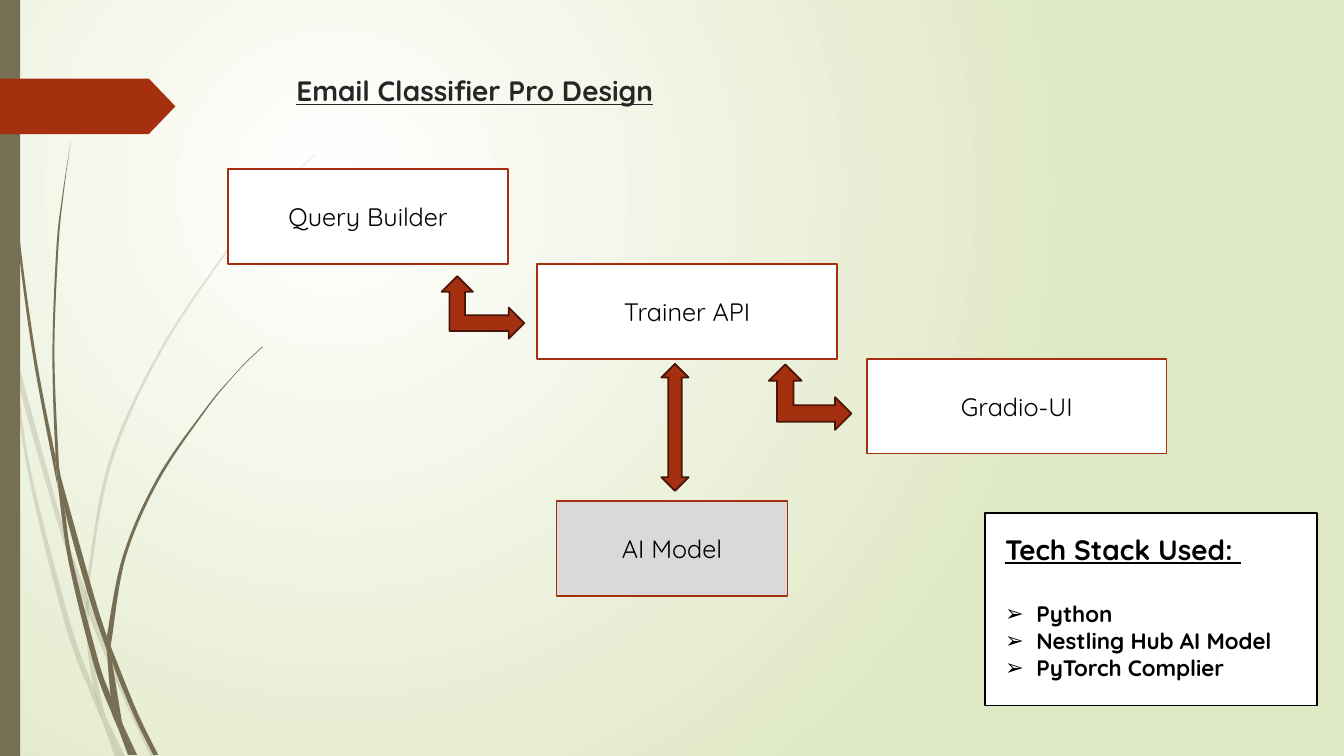
from dataclasses import dataclass
from pptx import Presentation
from pptx.dml.color import RGBColor
from pptx.enum.shapes import MSO_SHAPE
from pptx.enum.text import MSO_ANCHOR, PP_ALIGN
from pptx.oxml import parse_xml
from pptx.oxml.ns import nsdecls, qn
from pptx.oxml.xmlchemy import OxmlElement
from pptx.util import Emu, Inches, Pt

COLS, ROWS = 13.33, 7.5
CELL = Inches(1)


@dataclass(frozen=True)
class Theme:
    font: str = "Quicksand"
    head: int = 20
    label: int = 18
    item: int = 16
    edge: float = 1.25
    white: str = "FFFFFF"
    black: str = "000000"
    ink: str = "262626"
    red: str = "A53010"
    dark: str = "481507"
    grey: str = "D9D9D9"
    stem: str = "766F54"
    sage: str = "DFE8C4"


THEME = Theme()

FAINT = [
    ([(0.11, 3.5), (0.09, 3.22), (0, 2.82)], [(0, 2.99), (0.1, 3.44), (0.11, 3.5)]),
    ([(0.14, 3.45), (0.17, 3.76), (0.58, 5.22), (0.84, 5.99)],
     [(0.85, 5.86), (0.62, 5.2), (0.14, 3.45)]),
    ([(0.88, 5.96), (0.88, 6.1), (1.23, 6.94), (1.5, 7.51)],
     [(1.55, 7.51), (1.27, 6.92), (0.92, 6.07), (0.88, 5.96)]),
    ([(1.05, 7.11), (1.19, 7.51)], [(1.24, 7.51), (1.05, 7.11)]),
    ([(0.11, 3.5), (0.28, 4.7), (0.65, 6.21), (0.92, 6.93), (1.01, 7.14)],
     [(0.99, 7.07), (0.93, 6.83), (0.7, 6.19), (0.31, 4.69), (0.17, 3.76), (0.11, 3.5)]),
    ([(0.84, 5.99), (0.87, 6.46), (0.93, 6.83), (0.96, 6.92), (1.05, 7.11)],
     [(1.03, 7.06), (0.91, 6.46), (0.88, 6.1), (0.88, 6.08), (0.84, 5.99)]),
    ([(0.88, 5.96), (0.88, 5.84), (1.1, 4.62), (1.6, 3.49), (2.29, 2.45), (2.68, 1.98),
      (2.9, 1.75), (3.12, 1.54)],
     [(3.12, 1.53), (2.89, 1.75), (2.68, 1.97), (2.28, 2.44), (1.58, 3.48), (1.07, 4.61),
      (0.85, 5.84), (0.85, 5.86)]),
    ([(1.01, 7.14), (1.14, 7.51)], [(1.19, 7.51), (1.01, 7.14)]),
    ([(0.88, 6.08), (0.88, 6.1), (0.88, 5.96)], [(0.85, 5.86), (0.84, 5.99), (0.88, 6.08)]),
    ([(0.93, 6.83), (0.99, 7.07), (1.01, 7.14), (1.19, 7.51)],
     [(1.19, 7.51), (1.05, 7.11), (0.96, 6.92), (0.93, 6.83)]),
]
BOLD = [
    ([(0.03, 0), (0.04, 0.48), (0.07, 1.1), (0.17, 2.33), (0.33, 3.55), (0.56, 4.77),
      (0.57, 4.81)],
     [(0.55, 4.57), (0.55, 4.53), (0.36, 3.55), (0.19, 2.32), (0.08, 1.09), (0.05, 0.48),
      (0.04, 0)]),
    ([(0.6, 4.72), (0.64, 5.05), (0.88, 5.92), (1.06, 6.45)],
     [(1.06, 6.33), (1.06, 6.31), (0.93, 5.9), (0.6, 4.72)]),
    ([(1.1, 6.41), (1.11, 6.56), (1.32, 7.08), (1.52, 7.49)],
     [(1.57, 7.49), (1.36, 7.06), (1.13, 6.49), (1.1, 6.41)]),
    ([(0.57, 4.77), (0.68, 5.57), (0.93, 6.59), (1.11, 7.08), (1.17, 7.22)],
     [(1.16, 7.17), (1.1, 6.91), (0.98, 6.57), (0.72, 5.56), (0.64, 5.05), (0.57, 4.77)]),
    ([(0.6, 4.72), (0.58, 4.53), (0.54, 3.49), (0.58, 2.45), (0.63, 1.93), (0.7, 1.41)],
     [(0.7, 1.41), (0.62, 1.93), (0.56, 2.45), (0.52, 3.49), (0.55, 4.49), (0.6, 4.72)]),
    ([(1.22, 7.19), (1.33, 7.49)], [(1.36, 7.49), (1.22, 7.19)]),
    ([(0.55, 4.49), (0.55, 4.53), (0.57, 4.77), (0.64, 5.05)],
     [(0.64, 5.05), (0.6, 4.72), (0.55, 4.49)]),
    ([(1.1, 6.41), (1.11, 6.33), (1.25, 5.52), (1.58, 4.76), (2.05, 4.06), (2.31, 3.74),
      (2.45, 3.59), (2.61, 3.44)],
     [(2.6, 3.44), (2.45, 3.58), (2.31, 3.73), (2.04, 4.05), (1.56, 4.74), (1.22, 5.51),
      (1.06, 6.31)]),
    ([(1.17, 7.22), (1.27, 7.49)], [(1.31, 7.49), (1.17, 7.22)]),
    ([(1.06, 6.45), (1.1, 6.91), (1.16, 7.06), (1.22, 7.19)],
     [(1.21, 7.16), (1.11, 6.56), (1.09, 6.51), (1.06, 6.45)]),
    ([(1.06, 6.31), (1.06, 6.45), (1.09, 6.51), (1.11, 6.56)],
     [(1.1, 6.41), (1.06, 6.31)]),
    ([(1.1, 6.91), (1.16, 7.17), (1.17, 7.22), (1.3, 7.49)],
     [(1.33, 7.49), (1.22, 7.19), (1.16, 7.06), (1.1, 6.91)]),
]


def grid(*spans):
    return [Emu(round(span * CELL)) for span in spans]


def bend(knots):
    ends = [knots[0], *knots, knots[-1]]
    for a, b, c, d in zip(ends, ends[1:], ends[2:], ends[3:]):
        yield tuple(q + (r - p) / 6 for p, q, r in zip(a, b, c))
        yield tuple(r - (s - q) / 6 for q, r, s in zip(b, c, d))
        yield c


def paint(shape, fill, line=None, alpha=None):
    shape.shadow.inherit = False
    shape.fill.solid()
    shape.fill.fore_color.rgb = RGBColor.from_string(fill)
    if line:
        shape.line.color.rgb = RGBColor.from_string(line)
        shape.line.width = Pt(THEME.edge)
    else:
        shape.line.fill.background()
    if alpha:
        veil = OxmlElement("a:alpha")
        veil.set("val", str(alpha * 1000))
        shape._element.spPr.find(qn("a:solidFill"))[0].append(veil)


def write(frame, text, size, color=THEME.black, bold=False, under=False,
          align=PP_ALIGN.LEFT, after=0, mark=None):
    para = frame.paragraphs[0]
    if para.runs:
        para = frame.add_paragraph()
    para.alignment = align
    para.space_after = Pt(after)
    run = para.add_run()
    run.text = text
    font = run.font
    font.name, font.size, font.bold, font.underline = THEME.font, Pt(size), bold, under
    font.color.rgb = RGBColor.from_string(color)
    if mark:
        props = para._p.get_or_add_pPr()
        dent = Inches(0.31)
        props.set("marL", str(dent))
        props.set("indent", str(-dent))
        for tag, key, val in (("a:buFont", "typeface", THEME.font), ("a:buChar", "char", mark)):
            sign = OxmlElement(tag)
            sign.set(key, val)
            props.append(sign)


def block(slide, kind, spot, fill, line=None, turn=0):
    shape = slide.shapes.add_shape(kind, *grid(*spot))
    shape.rotation = turn
    paint(shape, fill, line)
    return shape


def node(slide, text, spot, fill=THEME.white):
    frame = block(slide, MSO_SHAPE.RECTANGLE, spot, fill, THEME.red).text_frame
    frame.vertical_anchor = MSO_ANCHOR.MIDDLE
    frame.word_wrap = True
    write(frame, text, THEME.label, align=PP_ALIGN.CENTER)


def note(slide, spot):
    frame = slide.shapes.add_textbox(*grid(*spot)).text_frame
    frame.word_wrap = True
    return frame


def blade(slide, go, back, alpha=None):
    dots = [*bend(go), *bend([go[-1], back[0]]), *bend(back)]
    pen = slide.shapes.build_freeform(*grid(*go[0]))
    pen.add_line_segments([grid(*dot) for dot in dots], close=True)
    shape = pen.convert_to_shape()
    lines = list(shape._element.iter(qn("a:lnTo")))
    for trio in zip(lines[::3], lines[1::3], lines[2::3]):
        curve = OxmlElement("a:cubicBezTo")
        trio[0].addprevious(curve)
        for line in trio:
            curve.append(line[0])
            line.getparent().remove(line)
    paint(shape, THEME.stem, alpha=alpha)


def glow(slide):
    fill = slide.background.fill
    fill.gradient()
    for stop, tone, place in zip(fill.gradient_stops, (THEME.white, THEME.sage), (0, 1)):
        stop.color.rgb = RGBColor.from_string(tone)
        stop.position = place
    lin = next(slide.element.iter(qn("a:lin")))
    lin.getparent().replace(lin, parse_xml(
        f'<a:path {nsdecls("a")} path="circle">'
        '<a:fillToRect l="50000" t="50000" r="100000" b="100000"/></a:path>'))


def main():
    deck = Presentation()
    deck.slide_width, deck.slide_height = grid(COLS, ROWS)
    slide = deck.slides.add_slide(deck.slide_layouts[6])
    glow(slide)
    for tuft, alpha in ((FAINT, 20), (BOLD, None)):
        for go, back in tuft:
            blade(slide, go, back, alpha)
    block(slide, MSO_SHAPE.RECTANGLE, (0, 0, 0.2, ROWS), THEME.stem)
    flag = block(slide, MSO_SHAPE.PENTAGON, (0, 0.78, 1.74, 0.55), THEME.red)
    flag.adjustments[0] = 0.48
    write(note(slide, (2.84, 0.68, 4.12, 0.52)), "Email Classifier Pro Design",
          THEME.head, color=THEME.ink, bold=True, under=True)

    top, tall = 1.68, 0.94
    parts = [("Query Builder", 2.26, 2.78), ("Trainer API", 5.33, 2.97), ("Gradio-UI", 8.6, 2.97)]
    for row, (text, left, wide) in enumerate(parts):
        node(slide, text, (left, top + row * tall, wide, tall))

    block(slide, MSO_SHAPE.RECTANGLE, (9.77, 5.09, 3.29, 1.91), THEME.white, THEME.black)
    stack = note(slide, (9.87, 5.23, 4.12, 2.08))
    write(stack, "Tech Stack Used: ", THEME.head, bold=True, under=True, after=24.5)
    for text in ("Python", "Nestling Hub AI Model", "PyTorch Complier"):
        write(stack, text, THEME.item, bold=True, mark="➢")

    for spot in ((7.71, 3.53, 0.65, 0.82), (4.48, 2.64, 0.62, 0.82)):
        block(slide, MSO_SHAPE.LEFT_UP_ARROW, spot, THEME.red, THEME.dark, 90)
    node(slide, "AI Model", (5.52, 4.97, 2.29, tall), THEME.grey)
    block(slide, MSO_SHAPE.UP_DOWN_ARROW, (6.56, 3.61, 0.27, 1.26), THEME.red, THEME.dark)
    deck.save("out.pptx")


if __name__ == "__main__":
    main()
